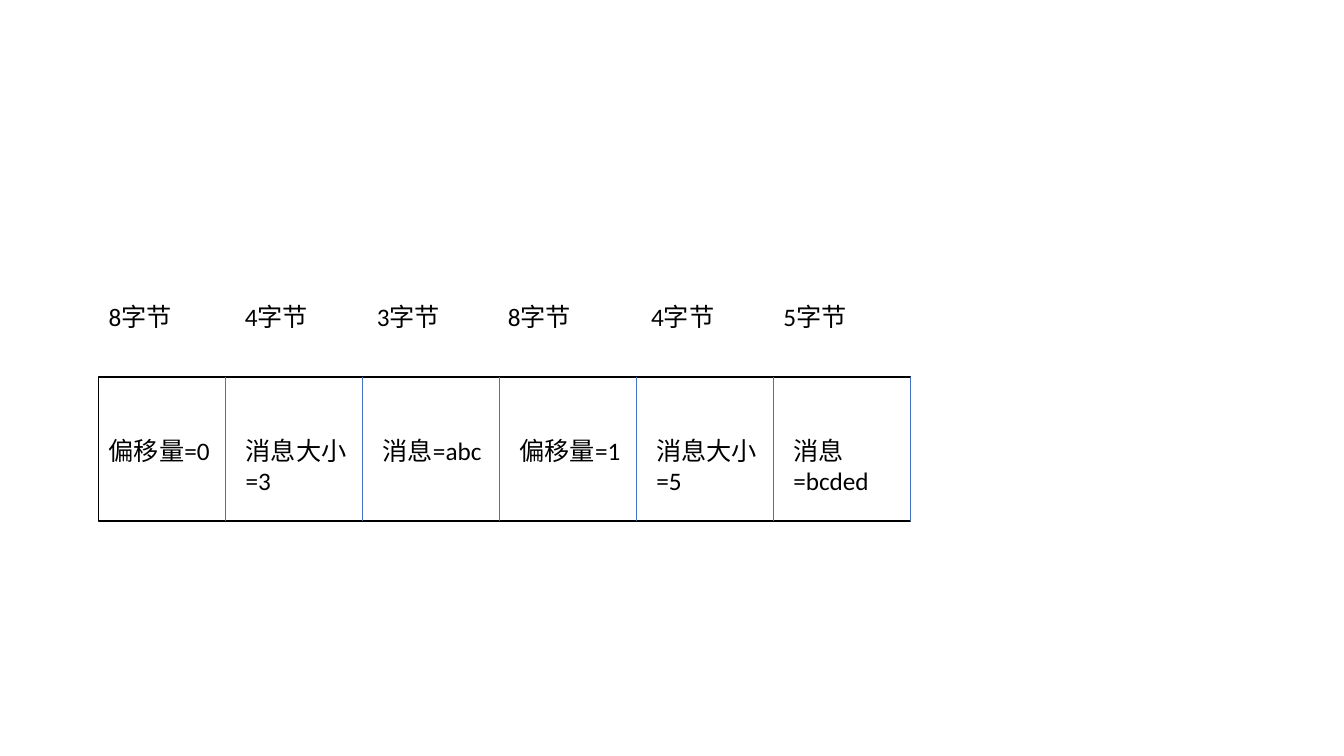
import pptx
import pptx.dml.color
import pptx.enum.shapes
import pptx.enum.text
import pptx.oxml
import pptx.oxml.ns
import pptx.util

Inches = pptx.util.Inches
BLACK = pptx.dml.color.RGBColor(0x00, 0x00, 0x00)
WHITE = pptx.dml.color.RGBColor(0xFF, 0xFF, 0xFF)
BLUE = pptx.dml.color.RGBColor(0x44, 0x72, 0xC4)

TEXT_FORMAT = {"name": "Calibri", "size": pptx.util.Pt(18)}
FIELD_WIDTH = 1.26
FIELD_PITCH = 1.358

# Label text, left offset and width
BYTE_LABELS = [
    ("8字节", 0, 0.96),
    ("4字节", 1.35, 0.93),
    ("3字节", 2.66, 0.93),
    ("8字节", 3.96, 1.03),
    ("4字节", 5.38, 0.93),
    ("5字节", 6.69, 1.05),
]
FIELDS = ["偏移量=0", "消息大小=3", "消息=abc",
          "偏移量=1", "消息大小=5", "消息=bcded"]


def add_panel(shapes, left, top, width, height, line_color):
    panel = shapes.add_shape(
        pptx.enum.shapes.MSO_SHAPE.RECTANGLE,
        Inches(left), Inches(top), Inches(width), Inches(height))
    panel.shadow.inherit = False
    panel.fill.solid()
    panel.fill.fore_color.rgb = WHITE
    panel.line.color.rgb = line_color
    panel.line.width = pptx.util.Pt(1)


def add_divider(shapes, x, top, height):
    divider = shapes.add_connector(
        pptx.enum.shapes.MSO_CONNECTOR.STRAIGHT,
        Inches(x), Inches(top), Inches(x), Inches(top + height))
    divider.line.color.rgb = BLUE
    divider.line.width = pptx.util.Pt(0.5)
    properties = divider._element.spPr
    properties.append(pptx.oxml.parse_xml(
        "<a:effectLst %s/>" % pptx.oxml.ns.nsdecls("a")))


def add_label(shapes, text, left, top, width, height):
    box = shapes.add_textbox(
        Inches(left), Inches(top), Inches(width), Inches(height))
    frame = box.text_frame
    frame.word_wrap = True
    frame.auto_size = pptx.enum.text.MSO_AUTO_SIZE.SHAPE_TO_FIT_TEXT
    span = frame.paragraphs[0].add_run()
    span.text = text
    for key, value in TEXT_FORMAT.items():
        setattr(span.font, key, value)
    span.font.color.rgb = BLACK


def add_byte_row(shapes, left, top, width, height):
    add_panel(shapes, left, top, width, height, WHITE)
    for text, offset, label_width in BYTE_LABELS:
        add_label(shapes, text, left + offset, top + 0.53, label_width, 0.4)


def add_message_row(shapes, left, top, width, height):
    add_panel(shapes, left, top, width, height, BLACK)
    for index, text in enumerate(FIELDS):
        field_left = left + index * FIELD_PITCH
        add_divider(shapes, field_left + FIELD_WIDTH, top, height)
        label_height = 0.71 if index % 3 == 1 or index == 5 else 0.4
        add_label(shapes, text, field_left, top + 0.53,
                  FIELD_WIDTH, label_height)


def main():
    deck = pptx.Presentation()
    deck.slide_width = Inches(13.33)
    deck.slide_height = Inches(7.5)
    page = deck.slides.add_slide(deck.slide_layouts.get_by_name("Blank"))
    diagram = page.shapes.add_group_shape()
    add_byte_row(diagram.shapes, 0.98, 2.41, 8.05, 1.33)
    add_message_row(diagram.shapes, 0.98, 3.74, 8.05, 1.43)
    deck.save("out.pptx")


if __name__ == "__main__":
    main()
